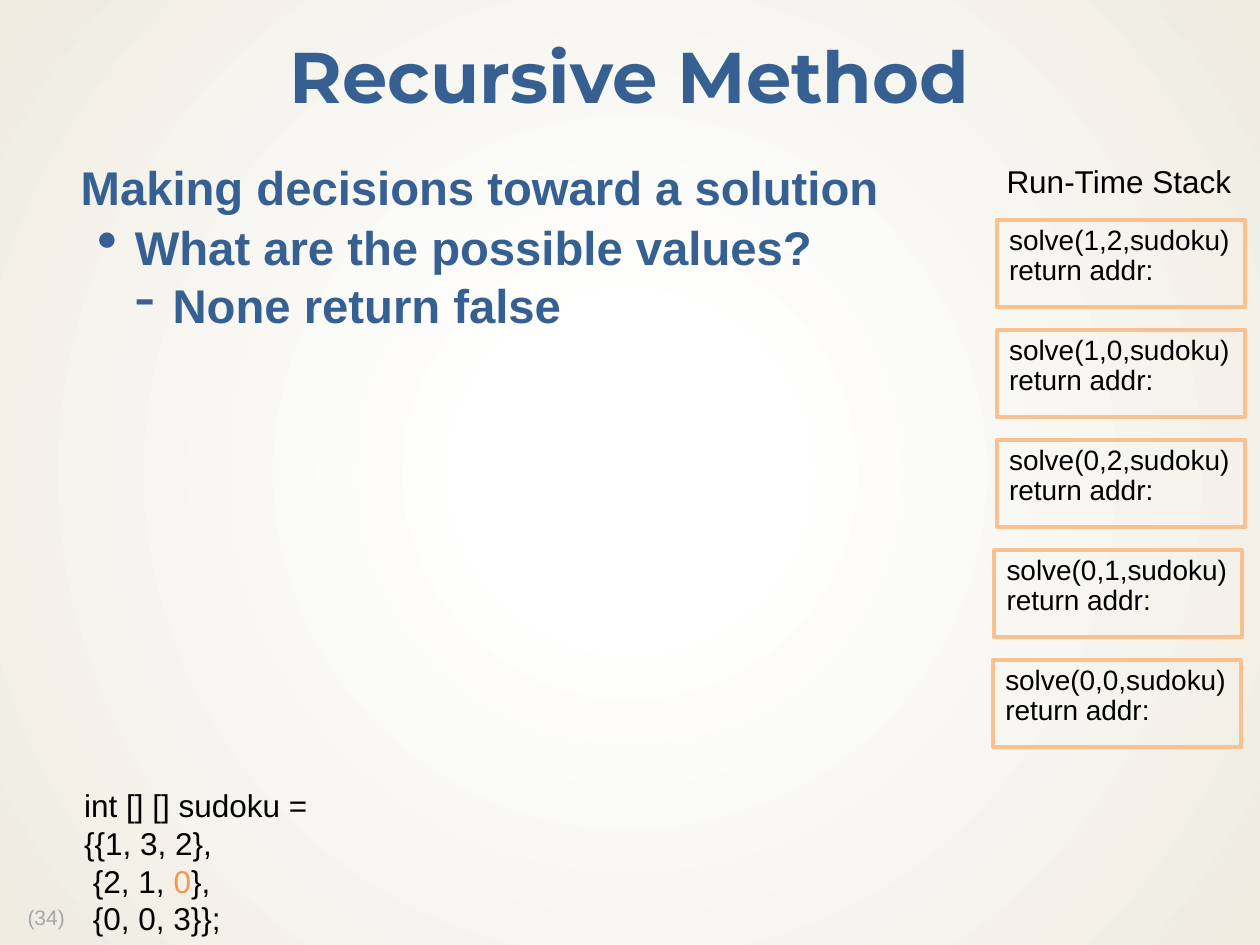
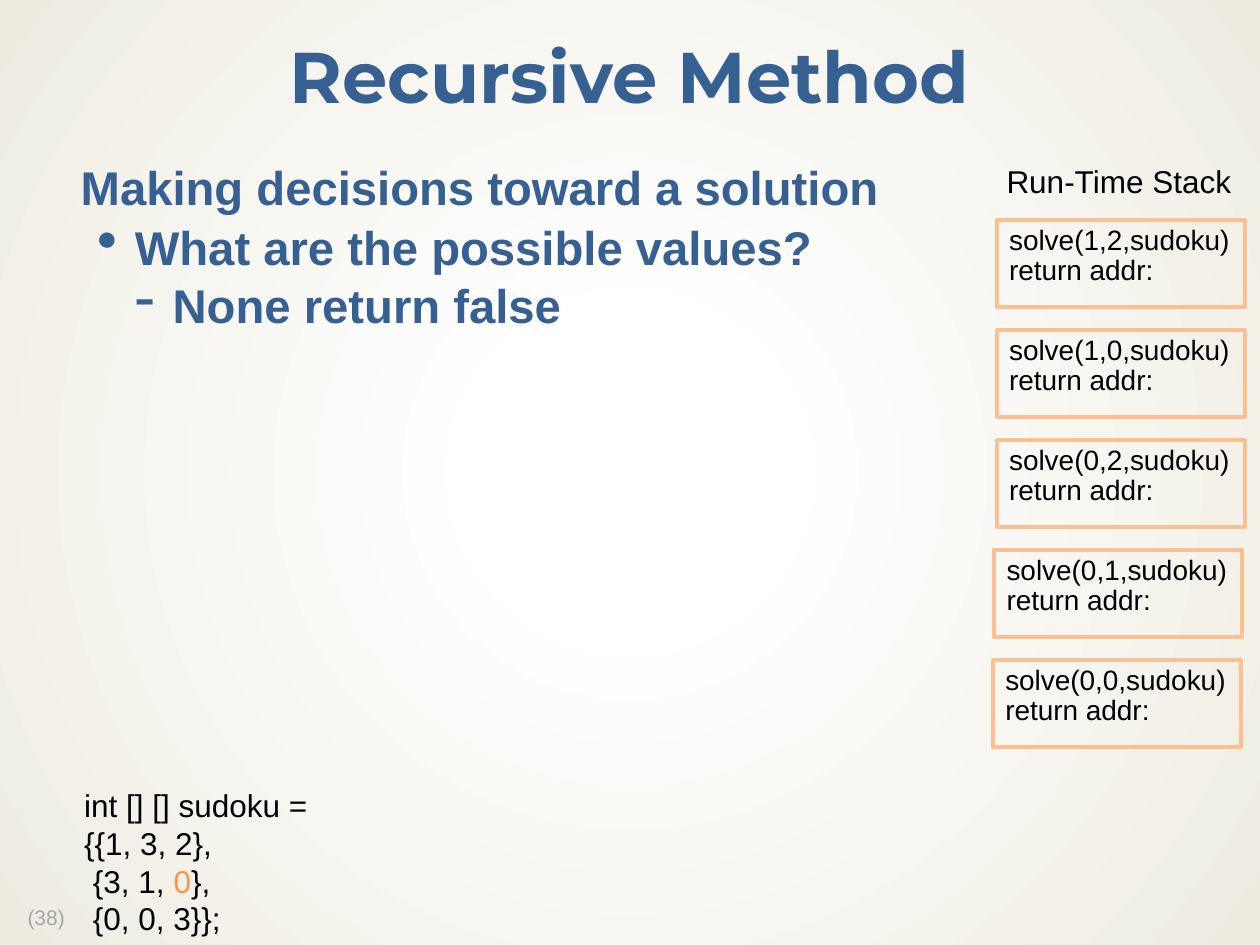
from dataclasses import dataclass

from lxml.etree import SubElement
from pptx import Presentation
from pptx.dml.color import RGBColor
from pptx.enum.shapes import MSO_SHAPE as Preset
from pptx.enum.text import MSO_ANCHOR as Anchor, PP_ALIGN as Align
from pptx.oxml import parse_xml
from pptx.oxml.ns import nsdecls, qn
from pptx.util import Inches, Pt

BLUE, BLACK, GREY = "376092", "000000", "A6A6A6"
ORANGE, PEACH = "F79646", "FAC090"
WHITE, CREAM = "FFFFFF", "EEECE1"

TITLE_FONT = dict(name="Montserrat", size=Pt(41), bold=True, color=BLUE)
BODY_FONT = dict(name="Arial", size=Pt(27), bold=True, color=BLUE)
CODE_FONT = dict(name="Arial", size=Pt(18), color=BLACK)
FRAME_FONT = dict(name="Arial", size=Pt(16), color=BLACK)
NUMBER_FONT = dict(name="Arial", size=Pt(12), color=GREY)

TITLE = "Recursive Method"
# text, bullet, left margin and hanging indent in inches, space before in points
DECISIONS = [
    ("Making decisions toward a solution", None, 0.14, 0, 0),
    ("What are the possible values?", "•", 0.57, -0.3, 5),
    ("None return false", "-", 0.87, -0.3, 4),
]
# call and left offset of its frame, top of the stack first
CALLS = [("1,2", 1.5), ("1,0", 1.5), ("0,2", 1.5), ("0,1", 0.5), ("0,0", 0)]


@dataclass
class Box:
    left: int
    top: int
    width: int
    height: int

    def inner(self, left, top, width, height):
        """Return an inner box given in percent of this one."""
        return Box(int(self.left + self.width * left / 100),
                   int(self.top + self.height * top / 100),
                   int(self.width * width / 100),
                   int(self.height * height / 100))

    def edges(self):
        return self.left, self.top, self.width, self.height


def rgb(color):
    return RGBColor.from_string(color)


def set_format(target, values):
    for name, value in values.items():
        if name == "color":
            target.color.rgb = rgb(value)
        else:
            setattr(target, name, value)


def set_margins(frame, across, down):
    set_format(frame, dict(margin_left=Inches(across), margin_right=Inches(across),
                           margin_top=Inches(down), margin_bottom=Inches(down)))


def fill_text(frame, lines, font, **para_format):
    """Write lines, each a list of (text, font changes) spans."""
    for index, line in enumerate(lines):
        para = frame.paragraphs[0] if index == 0 else frame.add_paragraph()
        set_format(para, para_format)
        for text, changes in line:
            span = para.add_run()
            span.text = text
            set_format(span.font, {**font, **changes})


def plain(*texts):
    return [[(text, {})] for text in texts]


def add_text(page, box, lines, font, wrap=False, **para_format):
    frame = page.shapes.add_textbox(*box.edges()).text_frame
    frame.word_wrap = wrap
    fill_text(frame, lines, font, **para_format)
    return frame


def set_background(master):
    """Give every slide the round white-to-cream gradient."""
    fill = master.background.fill
    fill.solid()
    solid = master.element.find(".//" + qn("p:bgPr")).find(qn("a:solidFill"))
    solid.getparent().replace(solid, parse_xml(
        f'<a:gradFill {nsdecls("a")} rotWithShape="1"><a:gsLst>'
        f'<a:gs pos="18000"><a:srgbClr val="{WHITE}"><a:alpha val="53000"/></a:srgbClr></a:gs>'
        f'<a:gs pos="100000"><a:srgbClr val="{CREAM}"/></a:gs></a:gsLst>'
        '<a:path path="circle"><a:fillToRect l="50000" t="50000" r="50000" b="50000"/>'
        '</a:path></a:gradFill>'))


def add_title(page, box):
    frame = add_text(page, box, plain(TITLE), TITLE_FONT, wrap=True,
                     alignment=Align.CENTER, line_spacing=0.9)
    frame.vertical_anchor = Anchor.MIDDLE
    set_margins(frame, 0.13, 0.06)


def set_bullet(para, bullet, margin, indent):
    props = para._p.get_or_add_pPr()
    props.set("marL", str(Inches(margin)))
    props.set("indent", str(Inches(indent)))
    if bullet:
        SubElement(props, qn("a:buSzPct")).set("val", "125000")
        SubElement(props, qn("a:buChar")).set("char", bullet)


def add_decisions(page, box):
    lines = plain(*(text for text, *_ in DECISIONS))
    frame = add_text(page, box, lines, BODY_FONT, wrap=True, line_spacing=0.9)
    set_margins(frame, 0.12, 0.06)
    for level, (para, row) in enumerate(zip(frame.paragraphs, DECISIONS)):
        _, bullet, margin, indent, before = row
        para.level = level
        set_bullet(para, bullet, margin, indent)
        if before:
            para.space_before = Pt(before)


def add_sudoku_code(page, box, first_digit):
    lines = plain("int [] [] sudoku =", "{{1, 3, 2},")
    lines.append([(f" {{{first_digit}, 1, ", {}), ("0", dict(color=ORANGE)), ("},", {})])
    lines += plain(" {0, 0, 3}};")
    add_text(page, box, lines, CODE_FONT)


def add_call_frame(page, box, cell):
    shape = page.shapes.add_shape(Preset.RECTANGLE, *box.edges())
    shape.shadow.inherit = False
    shape.fill.background()
    set_format(shape.line, dict(color=PEACH, width=Pt(2.25)))
    shape.text_frame.vertical_anchor = Anchor.TOP
    fill_text(shape.text_frame, plain(f"solve({cell},sudoku)", "return addr:"),
              FRAME_FONT, alignment=Align.LEFT, line_spacing=0.9)


def add_stack(page, box):
    add_text(page, box.inner(0.5, 0, 99.5, 8.53), plain("Run-Time Stack"), CODE_FONT)
    for row, (cell, left) in enumerate(CALLS):
        add_call_frame(page, box.inner(left, 10.87 + 18.6 * row, 98, 14.71), cell)


def add_recursion_slide(deck, number, first_digit):
    page = deck.slides.add_slide(deck.slide_layouts[6])
    area = Box(0, 0, deck.slide_width, deck.slide_height)
    add_text(page, area.inner(1.2, 95.33, 5.1, 3.73), plain(f"({number})"),
             NUMBER_FONT, line_spacing=0.9)
    add_title(page, area.inner(0, 2.27, 100, 12.53))
    add_decisions(page, area.inner(3.8, 16.67, 92.5, 75.33))
    add_sudoku_code(page, area.inner(5.7, 82.53, 19.9, 17.47), first_digit)
    add_stack(page, area.inner(78.8, 16.53, 20.1, 62.53))


def main():
    deck = Presentation()
    deck.slide_width, deck.slide_height = Inches(10), Inches(7.5)
    set_background(deck.slide_master)
    for number, first_digit in [(34, 2), (38, 3)]:
        add_recursion_slide(deck, number, first_digit)
    deck.save("out.pptx")


if __name__ == "__main__":
    main()
